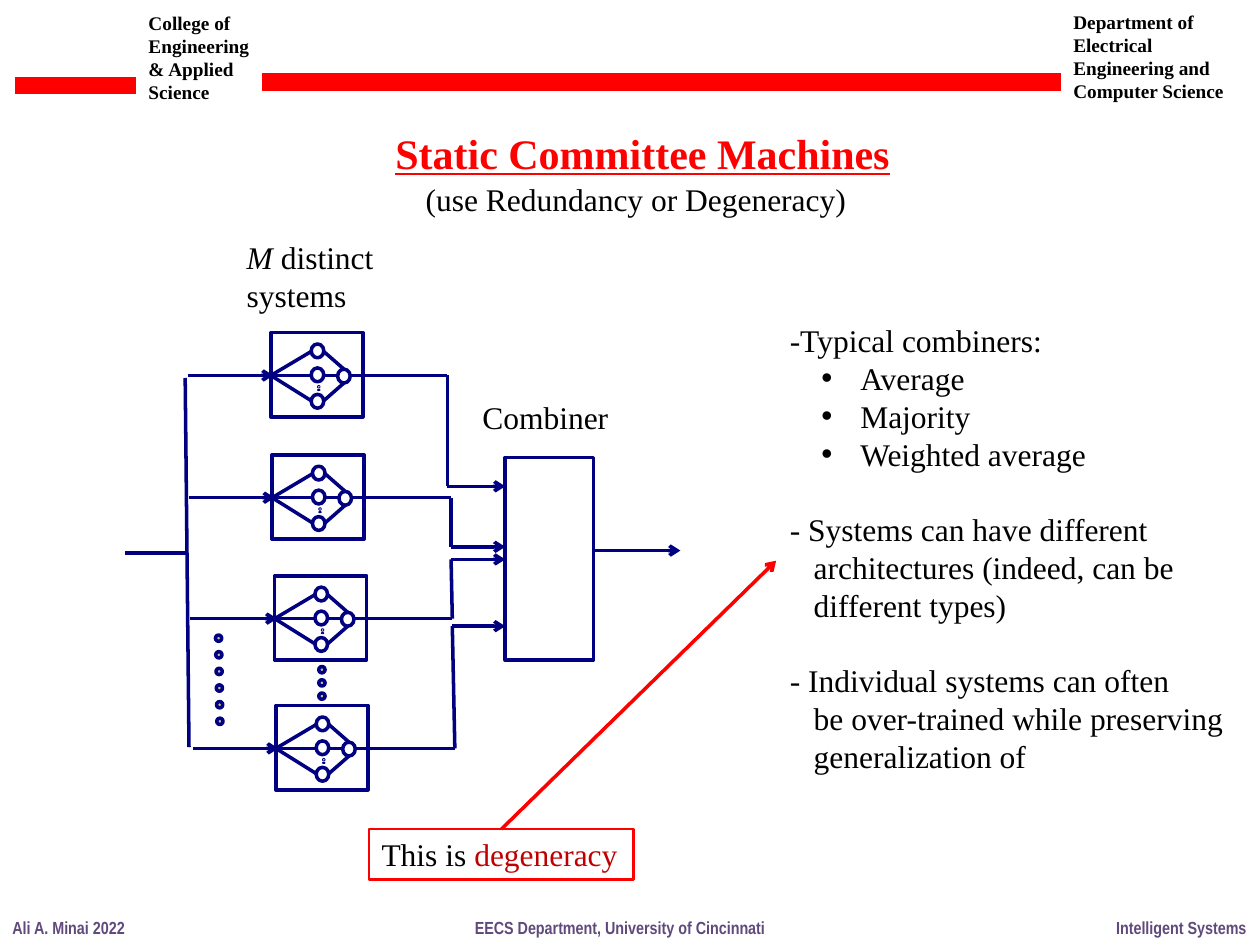
from pptx import Presentation
from pptx.dml.color import RGBColor
from pptx.enum.shapes import MSO_CONNECTOR, MSO_SHAPE
from pptx.enum.text import MSO_ANCHOR, PP_ALIGN
from pptx.oxml.ns import qn
from pptx.util import Cm, Pt
from lxml.etree import SubElement

COLOURS = {
    "black": "000000",
    "red": "FF0000",
    "crimson": "C00000",
    "navy": "000080",
    "purple": "604A7B",
    "tan": "C4BD97",
}


def inch(value):
    return Cm(value * 2.54)


class Page:
    serif = "Times New Roman"
    narrow = "Arial Narrow"

    def __init__(self, deck):
        self.slide = deck.slides.add_slide(deck.slide_layouts[5])

    def colour(self, name):
        return RGBColor.from_string(COLOURS[name])

    def format(self, span, size, colour="black", face=None, bold=False):
        span.font.size = Pt(size)
        span.font.name = face or self.serif
        span.font.bold = bold
        span.font.color.rgb = self.colour(colour)

    def title(self, text, *place):
        box = self.slide.shapes.title
        box.left, box.top, box.width, box.height = map(inch, place)
        frame = box.text_frame
        frame.text = text
        frame.word_wrap = False
        frame.vertical_anchor = MSO_ANCHOR.TOP
        span = frame.paragraphs[0].runs[0]
        self.format(span, 24, "red", bold=True)
        span.font.underline = True

    def fill_text(self, frame, text, size, wrap=False, **style):
        frame.text = text
        frame.word_wrap = wrap
        for para in frame.paragraphs:
            para.alignment = PP_ALIGN.LEFT
            for span in para.runs:
                self.format(span, size, **style)
        return frame

    def text(self, place, text, size=18, **style):
        box = self.slide.shapes.add_textbox(*map(inch, place))
        return self.fill_text(box.text_frame, text, size, **style)

    def add_span(self, para, text, size, **style):
        span = para.add_run()
        span.text = text
        self.format(span, size, **style)

    def indent(self, para, margin, hanging=0, bullet=None):
        props = para._p.get_or_add_pPr()
        props.set("marL", str(inch(margin)))
        props.set("indent", str(inch(-hanging)))
        if bullet:
            SubElement(props, qn("a:buFont")).set("typeface", "Arial")
            SubElement(props, qn("a:buChar")).set("char", bullet)

    def shape(self, kind, place, line="navy", width=2, fill=None):
        shape = self.slide.shapes.add_shape(kind, *map(inch, place))
        shape.shadow.inherit = False
        shape.line.color.rgb = self.colour(line)
        shape.line.width = Pt(width)
        if fill:
            shape.fill.solid()
            shape.fill.fore_color.rgb = self.colour(fill)
        else:
            shape.fill.background()
        return shape

    def line(self, start, end, colour="navy", width=2, arrow=False):
        line = self.slide.shapes.add_connector(
            MSO_CONNECTOR.STRAIGHT, *map(inch, (*start, *end)))
        line.line.color.rgb = self.colour(colour)
        line.line.width = Pt(width)
        if arrow:
            SubElement(line.line._get_or_add_ln(), qn("a:tailEnd")).set("type", "arrow")
        SubElement(line._element.spPr, qn("a:effectLst"))

    def network(self, x, y):
        self.shape(MSO_SHAPE.RECTANGLE, (x, y, 0.73, 0.67))
        for dx, dy in [(0.32, 0.09), (0.32, 0.28), (0.32, 0.49), (0.53, 0.29)]:
            self.shape(MSO_SHAPE.OVAL, (x + dx, y + dy, 0.1, 0.11))
        links = [
            (0.42, 0.15, 0.58, 0.29), (0.53, 0.34, 0.43, 0.34),
            (0.58, 0.4, 0.42, 0.54), (0, 0.34, 0.32, 0.15),
            (0, 0.34, 0.32, 0.34), (0, 0.34, 0.32, 0.54),
            (0.63, 0.34, 0.73, 0.34),
        ]
        for x1, y1, x2, y2 in links:
            self.line((x + x1, y + y1), (x + x2, y + y2))
        for dy, height in [(0.42, 0.02), (0.45, 0.01)]:
            self.shape(MSO_SHAPE.OVAL, (x + 0.37, y + dy, 0.02, height), width=0.5)


def add_frame(page):
    page.text((1.08, 0.04, 1.09, 0.84), "College of Engineering & Applied\nScience",
              11, wrap=True, bold=True)
    page.text((8.42, 0.03, 1.47, 0.84),
              "Department of Electrical Engineering and Computer Science",
              11, wrap=True, bold=True)
    page.line((0.12, 0.68), (1.08, 0.68), "red", 10)
    page.line((2.08, 0.65), (8.42, 0.65), "red", 10)
    footers = [
        (0, 1.1, "Ali A. Minai 2022"),
        (8.76, 1.24, "Intelligent Systems"),
        (3.67, 2.52, "EECS Department, University of Cincinnati"),
    ]
    for left, width, text in footers:
        page.text((left, 7.23, width, 0.27), text, 10,
                  colour="purple", face=page.narrow, bold=True)


def add_diagram(page):
    systems = [
        (2.15, 2.64, 1.49, 3.55, 3.55, 3.86),
        (2.16, 3.61, 1.5, 3.58, 3.58, 4.34),
        (2.18, 4.57, 1.51, 3.59, 3.58, 4.44),
        (2.19, 5.6, 1.53, 3.61, 3.59, 4.97),
    ]
    page.shape(MSO_SHAPE.RECTANGLE, (4.01, 3.63, 0.7, 1.61))
    for x, y, feed, turn, entry, level in systems:
        middle = y + 0.34
        page.network(x, y)
        page.line((feed, middle), (x + 0.02, middle), arrow=True)
        page.line((x + 0.73, middle), (turn, middle))
        page.line((turn, middle), (entry, level))
        page.line((entry, level), (4.01, level), arrow=True)
    page.line((1.47, 3), (1.5, 5.93))
    page.line((1.47, 4.39), (0.99, 4.39))
    page.line((4.72, 4.37), (5.4, 4.37), arrow=True)

    dots = [(1.71 + 0.002 * i, 5.04 + 0.132 * i) for i in range(6)]
    dots += [(2.53, 5.29 + 0.105 * i) for i in range(3)]
    for x, y in dots:
        page.shape(MSO_SHAPE.OVAL, (x, y, 0.05, 0.05), fill="tan")

    page.text((3.73, 3.11, 1.21, 0.4), "Combiner")
    label = page.text((1.86, 1.84, 1.3, 0.71), "M\nsystems")
    first = label.paragraphs[0]
    first.runs[0].font.italic = True
    page.add_span(first, " distinct", 18)


def add_notes(page):
    lines = [
        ("-Typical combiners:", "start"),
        ("Average", "bullet"),
        ("Majority", "bullet"),
        ("Weighted average", "bullet"),
        ("- Systems can have different", "group"),
        ("architectures (indeed, can be", "continued"),
        ("different types)", "continued"),
        ("- Individual systems can often", "group"),
        ("be over-trained while preserving", "continued"),
        ("generalization of", "continued"),
    ]
    frame = page.text((6.17, 2.5, 3.66, 3.74), "\n".join(text for text, role in lines))
    for para, (text, role) in zip(frame.paragraphs, lines):
        if role == "bullet":
            page.indent(para, 0.56, 0.31, "•")
        elif role == "continued":
            page.indent(para, 0.19)
        elif role == "group":
            para.space_before = Pt(21.6)


def add_callout(page):
    box = page.shape(MSO_SHAPE.RECTANGLE, (2.93, 6.58, 2.1, 0.4), "red", 1.5)
    frame = page.fill_text(box.text_frame, "This is ", 18)
    page.add_span(frame.paragraphs[0], "degeneracy", 18, colour="crimson")
    page.line((3.98, 6.58), (6.16, 4.45), "red", arrow=True)


def main():
    deck = Presentation()
    deck.slide_width, deck.slide_height = Cm(25.4), Cm(19.05)
    page = Page(deck)
    add_frame(page)
    page.title("Static Committee Machines", 3.02, 0.96, 4.16, 0.5)
    page.text((3.28, 1.38, 3.67, 0.4), "(use Redundancy or Degeneracy)")
    add_diagram(page)
    add_notes(page)
    add_callout(page)
    deck.save("out.pptx")


if __name__ == "__main__":
    main()
